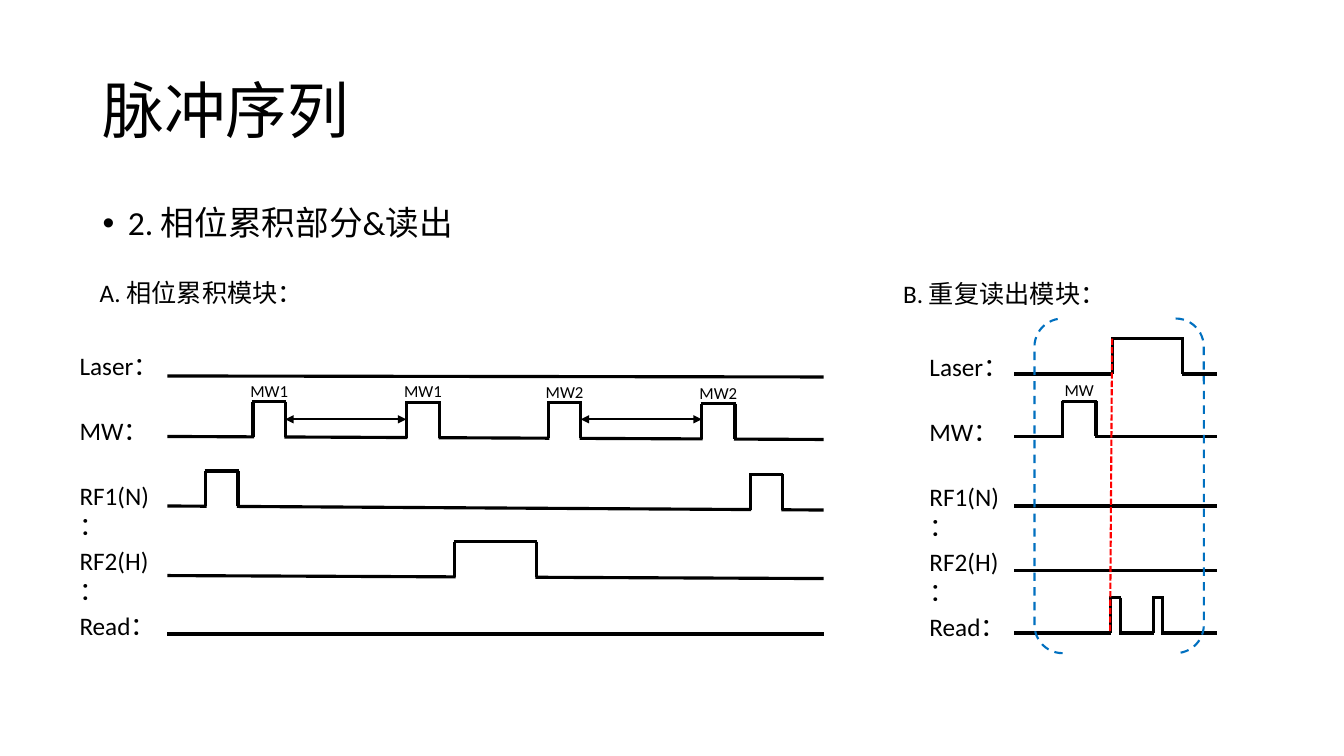
from pptx import Presentation
from pptx.dml.color import RGBColor
from pptx.enum.dml import MSO_LINE
from pptx.enum.shapes import MSO_CONNECTOR, MSO_SHAPE
from pptx.enum.text import MSO_ANCHOR, PP_ALIGN
from pptx.oxml.ns import qn
from pptx.util import Inches, Pt
from lxml.etree import SubElement

BLACK = RGBColor(0x00, 0x00, 0x00)
RED = RGBColor(0xFF, 0x00, 0x00)
BLUE = RGBColor(0x00, 0x70, 0xC0)
FONT = "Calibri"
CHANNELS = ["Laser：", "MW：", "RF1(N)：", "RF2(H)：", "Read："]
LABEL_TOP, LABEL_PITCH = 0.73, 0.643
PULSE_HEIGHT = 0.35
OVERLAP = 0.01

# Each trace: drop of its baseline below the module's top, slope drop along
# the trace, and its pulses as (start, width, label), relative to the module.
ACCUMULATION = [
    (1.03, 0.01, []),
    (1.63, 0.03, [(1.82, 0.32, "MW1"), (3.34, 0.33, "MW1"),
                  (4.75, 0.32, "MW2"), (6.27, 0.33, "MW2")]),
    (2.32, 0.04, [(1.35, 0.32, ""), (6.75, 0.32, "")]),
    (3.01, 0.03, [(3.82, 0.81, "")]),
    (3.59, 0, []),
]
READOUT = [
    (1.0, 0, [(1.91, 0.7, "")]),
    (1.62, 0, [(1.42, 0.33, "MW")]),
    (2.31, 0, []),
    (2.95, 0, []),
    (3.57, 0, [(1.89, 0.1, ""), (2.32, 0.09, "")]),
]


def add_text(slide, box, text, size, align=PP_ALIGN.LEFT, anchor=MSO_ANCHOR.TOP):
    tf = slide.shapes.add_textbox(*map(Inches, box)).text_frame
    tf.word_wrap = True
    tf.vertical_anchor = anchor
    p = tf.paragraphs[0]
    p.text = text
    p.alignment = align
    font = p.runs[0].font
    font.name, font.size, font.color.rgb = FONT, Pt(size), BLACK
    return p


def add_line(slide, x1, y1, x2, y2, color=BLACK, width=2.25):
    c = slide.shapes.add_connector(MSO_CONNECTOR.STRAIGHT,
                                   *map(Inches, (x1, y1, x2, y2)))
    c.line.color.rgb = color
    c.line.width = Pt(width)
    SubElement(c._element.spPr, qn("a:effectLst"))
    return c


def add_double_arrow(slide, x1, x2, y):
    c = add_line(slide, x1, y, x2, y, width=1.5)
    ln = c._element.spPr.find(qn("a:ln"))
    for end in ("a:headEnd", "a:tailEnd"):
        SubElement(ln, qn(end), type="triangle")


def add_trace(slide, left, right, base, slope, pulses):
    """Draw a baseline from left to right, broken by square pulses."""
    def level(x):
        return base + slope * (x - left) / (right - left)

    x = left
    for start, width, label in pulses:
        end = start + width
        top = level(start) - PULSE_HEIGHT
        add_line(slide, x - OVERLAP, level(x), start + OVERLAP, level(start))
        add_line(slide, start, level(start), start, top)
        add_line(slide, start - OVERLAP, top, end + OVERLAP, top)
        add_line(slide, end, top, end, level(end))
        if label:
            add_text(slide, (start + width / 2 - 0.32, top - 0.26, 0.64, 0.3),
                     label, 12, PP_ALIGN.CENTER)
        x = end
    add_line(slide, x - OVERLAP, level(x), right, level(right))


def add_module(slide, left, top, heading, heading_shift, span, traces):
    """Draw a heading, the channel names and one trace per channel."""
    add_text(slide, (left + heading_shift, top, 2.15, 0.4), heading, 18)
    for i, (name, (drop, slope, pulses)) in enumerate(zip(CHANNELS, traces)):
        add_text(slide, (left, top + LABEL_TOP + i * LABEL_PITCH, 0.99, 0.4),
                 name, 18)
        placed = [(left + start, width, label) for start, width, label in pulses]
        add_trace(slide, left + span[0], left + span[1], top + drop, slope, placed)


def add_accumulation(slide, left, top):
    add_module(slide, left, top, "A. 相位累积模块：", 0.2, (0.98, 7.48), ACCUMULATION)
    drop, _, pulses = ACCUMULATION[1]
    for first, second in (pulses[:2], pulses[2:]):
        add_double_arrow(slide, left + first[0] + first[1], left + second[0],
                         top + drop - 0.17)


def add_readout(slide, left, top):
    add_module(slide, left, top, "B. 重复读出模块：", -0.26, (0.95, 2.95), READOUT)
    guide = add_line(slide, left + 1.91, top + 0.65, left + 1.89, top + 3.57,
                     RED, 1.5)
    guide.line.dash_style = MSO_LINE.SQUARE_DOT
    sp = slide.shapes.add_shape(MSO_SHAPE.DOUBLE_BRACKET, *map(
        Inches, (left + 1.14, top + 0.45, 1.68, 3.32)))
    sp.shadow.inherit = False
    sp.fill.background()
    sp.line.color.rgb = BLUE
    sp.line.width = Pt(1.5)
    sp.line.dash_style = MSO_LINE.DASH


def add_header(slide, left, top, width):
    title = add_text(slide, (left, top, width, 1.45), "脉冲序列", 44,
                     anchor=MSO_ANCHOR.MIDDLE)
    topic = add_text(slide, (left, top + 1.6, width, 0.56),
                     "2. 相位累积部分&读出", 24)
    title.line_spacing = topic.line_spacing = 0.9
    pPr = topic._p.get_or_add_pPr()
    pPr.set("marL", str(Inches(0.25)))
    pPr.set("indent", str(Inches(-0.25)))
    SubElement(pPr, qn("a:buFont"), typeface="Arial")
    SubElement(pPr, qn("a:buChar"), char="•")


def main():
    prs = Presentation()
    prs.slide_width, prs.slide_height = Inches(13.33), Inches(7.5)
    slide = prs.slides.add_slide(prs.slide_layouts[6])
    add_header(slide, 0.92, 0.4, 11.5)
    add_accumulation(slide, 0.69, 2.7)
    add_readout(slide, 9.12, 2.71)
    prs.save("out.pptx")


if __name__ == "__main__":
    main()
